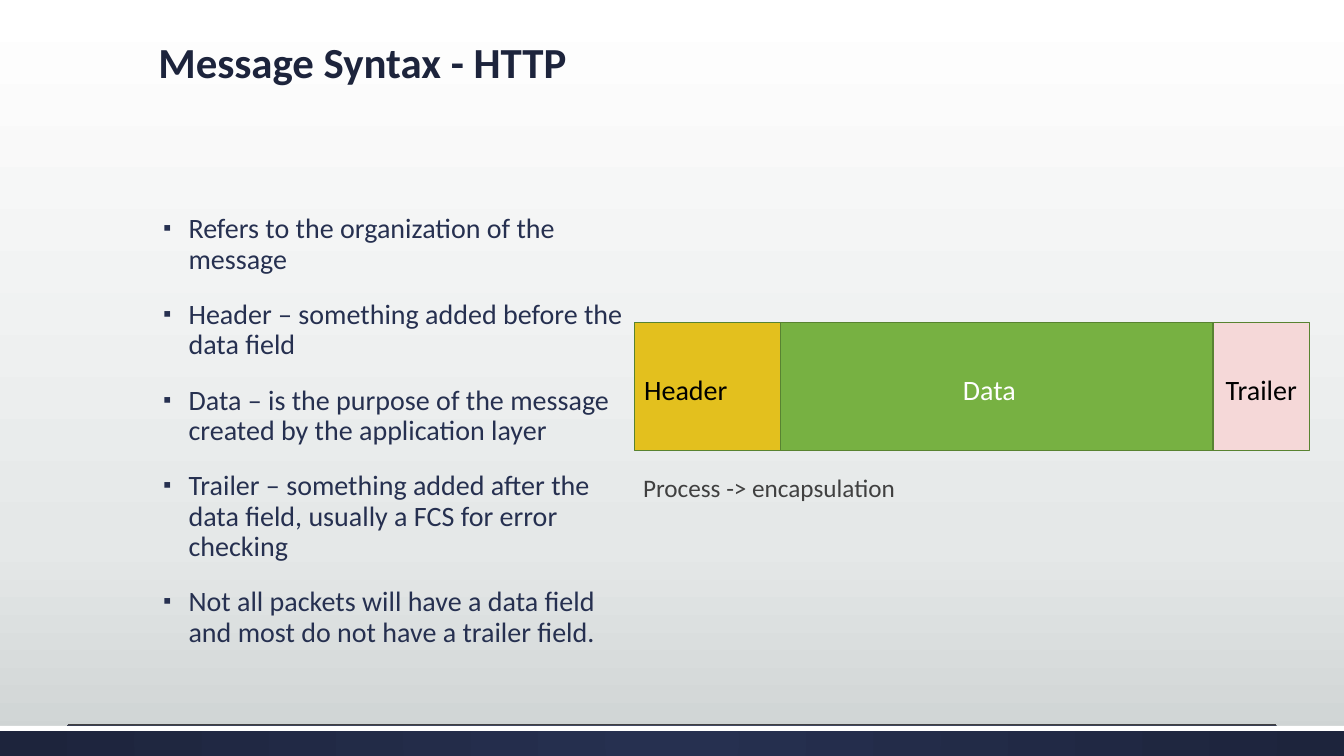
from lxml import etree
from pptx import Presentation
from pptx.dml.color import RGBColor
from pptx.enum import shapes, text
from pptx.oxml.ns import qn
from pptx.util import Inches, Pt

NAVY = RGBColor(0x26, 0x30, 0x50)
DARK = RGBColor(0x1D, 0x24, 0x3C)
WHITE = RGBColor(0xFF, 0xFF, 0xFF)
BLACK = RGBColor(0, 0, 0)
GRAY = RGBColor(0x40, 0x40, 0x40)
MIST = RGBColor(0xE5, 0xE8, 0xE8)
SILVER = RGBColor(0xCD, 0xD2, 0xD2)
GREEN = RGBColor(0x77, 0xB1, 0x42)
MOSS = RGBColor(0x58, 0x83, 0x31)
PINK = RGBColor(0xF5, 0xD8, 0xD8)
GOLD = RGBColor(0xE3, 0xC0, 0x1E)

POINTS = [
    "Refers to the organization of the message",
    "Header – something added before the data field",
    "Data – is the purpose of the message created by the application layer",
    "Trailer – something added after the data field, usually a FCS for error checking",
    "Not all packets will have a data field and most do not have a trailer field.",
]
FIELDS = [
    ("Data ", 1.37, 4.37, GREEN, WHITE, text.PP_ALIGN.CENTER),
    ("Trailer ", 5.74, 0.96, PINK, BLACK, text.PP_ALIGN.CENTER),
    ("Header", 0, 1.45, GOLD, BLACK, text.PP_ALIGN.LEFT),
]


def add(node, tag, **attrs):
    return etree.SubElement(node, qn(tag), attrs)


def style(para, size, color, bold=False):
    font = para.font
    font.name, font.size, font.bold = "Calibri", Pt(size), bold
    font.color.rgb = color


def place(shape, left, top, width, height):
    shape.left, shape.top = Inches(left), Inches(top)
    shape.width, shape.height = Inches(width), Inches(height)


def blend(fill, stops, radial=False):
    fill.gradient()
    grad = fill._xPr.find(qn("a:gradFill"))
    for child in list(grad):
        grad.remove(child)
    group = add(grad, "a:gsLst")
    for spot, color in stops:
        stop = add(group, "a:gs", pos=str(spot * 1000))
        add(stop, "a:srgbClr", val=str(color))
    if radial:
        route = add(grad, "a:path", path="circle")
        add(route, "a:fillToRect", l="50000", t="50000", r="50000", b="50000")
    else:
        add(grad, "a:lin", ang="5400000", scaled="0")


def block(slide, left, top, width, height):
    shape = slide.shapes.add_shape(
        shapes.MSO_SHAPE.RECTANGLE,
        Inches(left), Inches(top), Inches(width), Inches(height))
    shape.shadow.inherit = False
    shape.line.fill.background()
    return shape


def footer(slide, left, top, width, height):
    band = block(slide, left, top, width, height)
    blend(band.fill, [(0, NAVY), (100, DARK)], radial=True)
    strip = block(slide, left, top, width, 0.05)
    strip.fill.solid()
    strip.fill.fore_color.rgb = WHITE
    rule = slide.shapes.add_connector(
        shapes.MSO_CONNECTOR.STRAIGHT,
        Inches(left + 0.67), Inches(top - 0.01),
        Inches(left + width - 0.67), Inches(top - 0.01))
    rule.line.color.rgb = GRAY
    rule.line.width = Pt(0.5)
    add(rule._element.spPr, "a:effectLst")


def heading(slide, left, top, width, height):
    title = slide.shapes.title
    place(title, left, top, width, height)
    frame = title.text_frame
    frame.auto_size = text.MSO_AUTO_SIZE.NONE
    frame.vertical_anchor = text.MSO_ANCHOR.TOP
    frame.margin_top = 0
    frame.text = "Message Syntax - HTTP"
    para = frame.paragraphs[0]
    para.alignment = text.PP_ALIGN.LEFT
    para.line_spacing = 0.9
    style(para, 30.6, DARK, bold=True)


def bullets(slide, left, top, width, height):
    body = slide.placeholders[1]
    place(body, left, top, width, height)
    frame = body.text_frame
    frame.auto_size = text.MSO_AUTO_SIZE.NONE
    frame.text = "\n".join(POINTS)
    for para in frame.paragraphs:
        para.line_spacing = 0.9
        para.space_before = Pt(18)
        props = para._p.get_or_add_pPr()
        props.set("marL", str(Inches(0.3)))
        props.set("indent", str(Inches(-0.25)))
        add(add(props, "a:buClr"), "a:srgbClr", val=str(NAVY))
        add(props, "a:buSzPct", val="80000")
        add(props, "a:buFont", typeface="Calibri")
        add(props, "a:buChar", char="▪")
        style(para, 20, NAVY)


def packet(slide, left, top, height):
    for label, shift, width, color, ink, align in FIELDS:
        cell = block(slide, left + shift, top, width, height)
        cell.fill.solid()
        cell.fill.fore_color.rgb = color
        cell.line.color.rgb = MOSS
        cell.line.width = Pt(1)
        frame = cell.text_frame
        frame.vertical_anchor = text.MSO_ANCHOR.MIDDLE
        frame.text = label
        para = frame.paragraphs[0]
        para.alignment = align
        para.line_spacing = 1.15
        para.space_after = Pt(10)
        style(para, 20, ink)


def caption(slide, left, top, width, height):
    box = slide.shapes.add_textbox(
        Inches(left), Inches(top), Inches(width), Inches(height))
    box.text_frame.word_wrap = True
    box.text_frame.text = "Process -> encapsulation"
    style(box.text_frame.paragraphs[0], 18, GRAY)


def main():
    deck = Presentation()
    deck.slide_width, deck.slide_height = Inches(13.33), Inches(7.5)
    slide = deck.slides.add_slide(deck.slide_layouts[1])
    blend(slide.background.fill, [(0, WHITE), (72, MIST), (100, SILVER)])
    footer(slide, 0, 7.2, 13.33, 0.3)
    heading(slide, 1.47, 0.41, 10.4, 1.35)
    bullets(slide, 1.47, 2.08, 4.83, 4.5)
    packet(slide, 6.29, 3.2, 1.27)
    caption(slide, 6.28, 4.64, 6.73, 0.4)
    deck.save("out.pptx")


if __name__ == "__main__":
    main()
